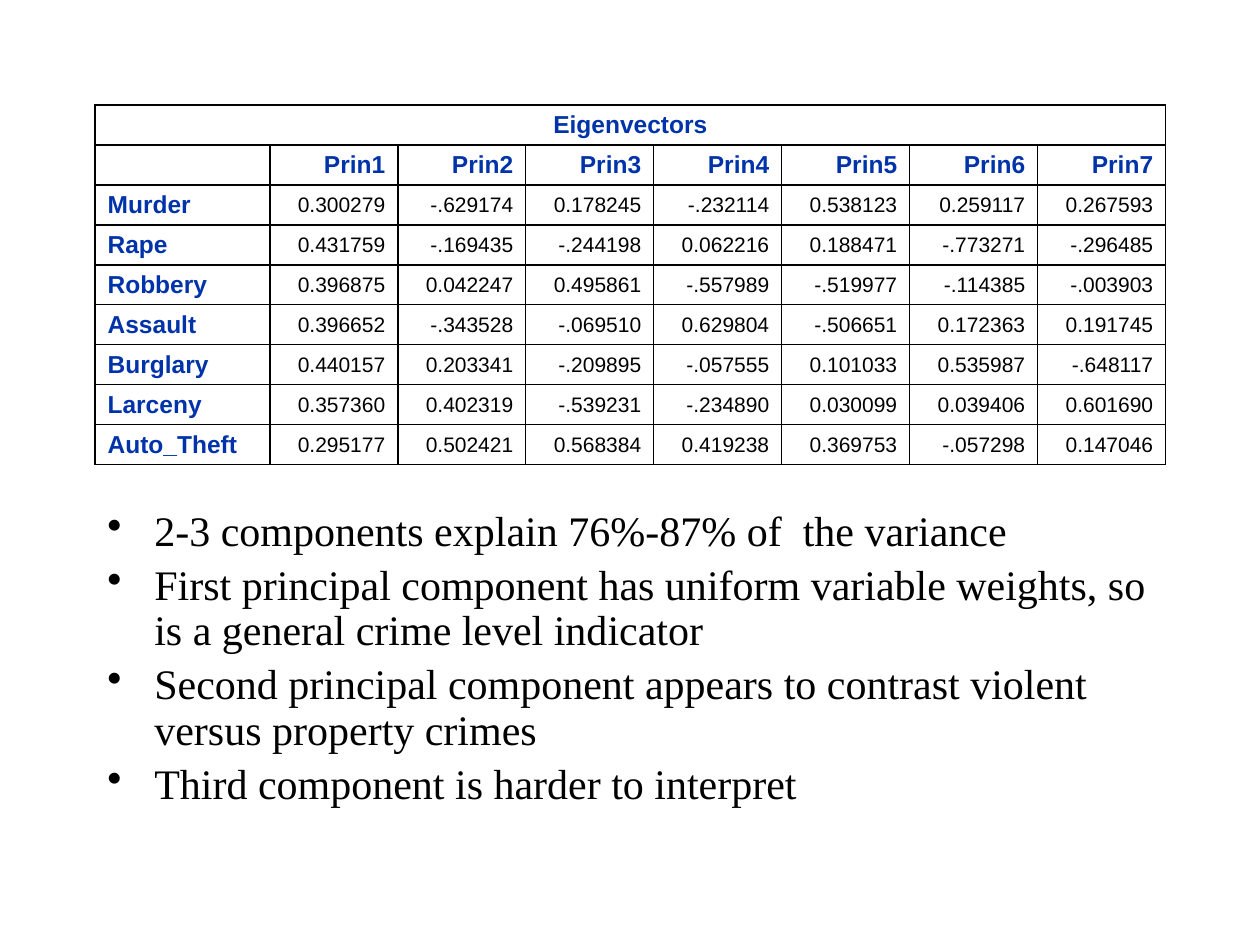
import pptx
import pptx.dml.color
import pptx.enum.text
import pptx.oxml
import pptx.oxml.ns
import pptx.util
import lxml.etree

PX = 914400 // 126
ALIGN = pptx.enum.text.PP_ALIGN
ANCHOR = pptx.enum.text.MSO_ANCHOR
THEME = {
    "heading": {"name": "Arial", "size": 14, "color": "0033AA", "bold": True},
    "value": {"name": "Arial", "size": 12, "color": "000000", "bold": False},
    "body": {"name": "Times New Roman", "size": 24, "color": "000000", "bold": False},
    "border": "000000",
}
COMPONENTS = [f"Prin{number}" for number in range(1, 8)]
WEIGHTS = {
    "Murder": "0.300279 -.629174 0.178245 -.232114 0.538123 0.259117 0.267593",
    "Rape": "0.431759 -.169435 -.244198 0.062216 0.188471 -.773271 -.296485",
    "Robbery": "0.396875 0.042247 0.495861 -.557989 -.519977 -.114385 -.003903",
    "Assault": "0.396652 -.343528 -.069510 0.629804 -.506651 0.172363 0.191745",
    "Burglary": "0.440157 0.203341 -.209895 -.057555 0.101033 0.535987 -.648117",
    "Larceny": "0.357360 0.402319 -.539231 -.234890 0.030099 0.039406 0.601690",
    "Auto_Theft": "0.295177 0.502421 0.568384 0.419238 0.369753 -.057298 0.147046",
}
FINDINGS = [
    "2-3 components explain 76%-87% of  the variance",
    "First principal component has uniform variable weights, so is a general crime level indicator",
    "Second principal component appears to contrast violent versus property crimes",
    "Third component is harder to interpret",
]


def set_font(para, style):
    para.font.name = style["name"]
    para.font.size = pptx.util.Pt(style["size"])
    para.font.bold = style["bold"]
    para.font.color.rgb = pptx.dml.color.RGBColor.from_string(style["color"])


def add_borders(cell):
    properties = cell._tc.get_or_add_tcPr()
    for position, side in enumerate(("lnL", "lnR", "lnT", "lnB")):
        line = pptx.oxml.parse_xml(
            f'<a:{side} {pptx.oxml.ns.nsdecls("a")} w="9525"><a:solidFill>'
            f'<a:srgbClr val="{THEME["border"]}"/></a:solidFill></a:{side}>')
        properties.insert(position, line)


deck = pptx.Presentation()
deck.slide_width, deck.slide_height = 1260 * PX, 945 * PX
page = deck.slides.add_slide(deck.slide_layouts[6])

# Eigenvector table
rows = [["Eigenvectors"] + [""] * 7, [""] + COMPONENTS]
rows += [[crime] + weights.split() for crime, weights in WEIGHTS.items()]
table = page.shapes.add_table(
    len(rows), 8, 95 * PX, 105 * PX, 1071 * PX, 360 * PX).table
table.horz_banding = False
for index, column in enumerate(table.columns):
    column.width = (128 if index else 175) * PX
for row_index, values in enumerate(rows):
    table.rows[row_index].height = 40 * PX
    for column_index, value in enumerate(values):
        cell = table.cell(row_index, column_index)
        cell.fill.background()
        cell.margin_top = cell.margin_bottom = 6 * PX
        cell.vertical_anchor = ANCHOR.BOTTOM if row_index < 2 else ANCHOR.MIDDLE
        add_borders(cell)
        cell.text = value
        para = cell.text_frame.paragraphs[0]
        is_heading = row_index < 2 or column_index == 0
        set_font(para, THEME["heading" if is_heading else "value"])
        if row_index == 0:
            para.alignment = ALIGN.CENTER
        else:
            para.alignment = ALIGN.RIGHT if column_index else ALIGN.LEFT
        if not value:
            end = lxml.etree.SubElement(para._p, pptx.oxml.ns.qn("a:endParaRPr"))
            end.set("sz", str(THEME["heading"]["size"] * 100))
table.cell(0, 0).merge(table.cell(0, 7))

# Findings
box = page.shapes.add_textbox(95 * PX, 504 * PX, 1071 * PX, 336 * PX)
frame = box.text_frame
frame.word_wrap = True
for index, finding in enumerate(FINDINGS):
    para = frame.add_paragraph() if index else frame.paragraphs[0]
    para.text = finding
    set_font(para, THEME["body"])
    para.line_spacing = 0.9
    para.space_before = pptx.util.Pt(5)
    properties = para._p.get_or_add_pPr()
    properties.set("marL", str(47 * PX))
    properties.set("indent", str(-47 * PX))
    bullet = pptx.oxml.parse_xml(f'<a:buChar {pptx.oxml.ns.nsdecls("a")} char="•"/>')
    properties.find(pptx.oxml.ns.qn("a:defRPr")).addprevious(bullet)

deck.save("out.pptx")
